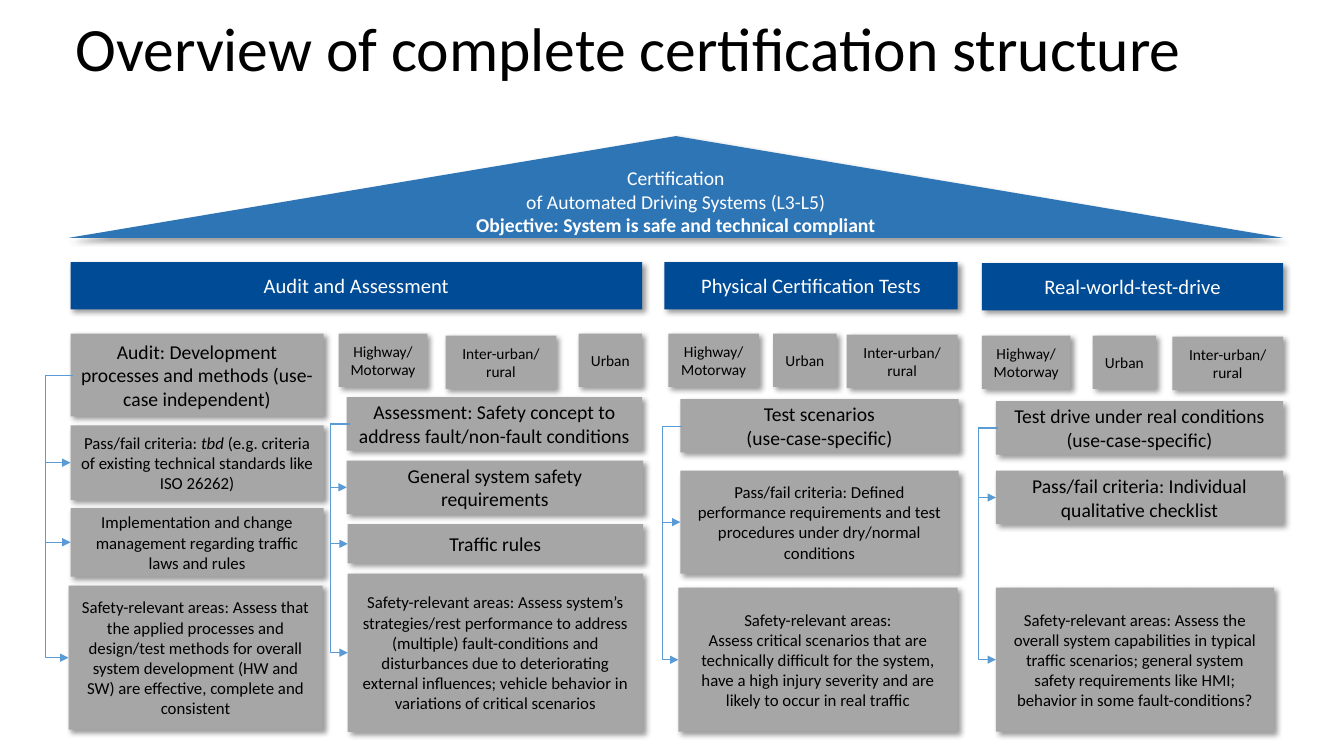
"""Build the slide that gives an overview of the certification structure."""
from dataclasses import dataclass

from pptx import Presentation, util as u
from pptx.dml.color import RGBColor
from pptx.enum import shapes, text
from pptx.oxml import parse_xml
from pptx.oxml.ns import nsdecls, qn

CELL = u.Inches(0.1)
COLUMNS, ROWS = 133.33, 75


@dataclass(frozen=True)
class Theme:
    font: str = "Calibri"
    black: str = "000000"
    white: str = "FFFFFF"
    roof: str = "2E75B6"
    pillar: str = "004B96"
    block: str = "A6A6A6"
    rail: str = "5B9BD5"
    title_size: float = 44
    pillar_size: float = 14.7
    large: float = 14
    medium: float = 12
    small: float = 11
    rail_width: float = 0.5


THEME = Theme()


@dataclass(frozen=True)
class Box:
    left: float
    top: float
    width: float
    height: float
    words: str
    size: float
    fill: str = THEME.block
    ink: str = THEME.black
    preset: shapes.MSO_SHAPE = shapes.MSO_SHAPE.RECTANGLE
    emphasis: str = "italic"
    bottom_inset: float = 0.5

    @property
    def middle(self) -> float:
        return self.top + self.height / 2


@dataclass(frozen=True)
class Item:
    top: float
    height: float
    words: str
    size: float = THEME.medium
    shift: float = 0
    extra: float = 0


@dataclass(frozen=True)
class Stack:
    left: float
    width: float
    rail: float
    items: tuple[Item, ...]


ROOF = Box(6.8, 13.5, 120.5, 10.1,
           "Certification\nof Automated Driving Systems (L3-L5)\n"
           "|Objective: System is safe and technical compliant|",
           THEME.large, THEME.roof, THEME.white,
           shapes.MSO_SHAPE.ISOSCELES_TRIANGLE, "bold", 2.7)

PILLARS = (
    (7, 26, 56.7, "Audit and Assessment"),
    (65.9, 26, 29.1, "Physical Certification Tests"),
    (97.4, 26.1, 29.9, "Real-world-test-drive"),
)

HIGHWAY, URBAN, RURAL = "Highway/\nMotorway", "Urban", "Inter-urban/\nrural"
USE_CASES = (
    (33.6, 33.1, 8.8, HIGHWAY), (44.2, 33.3, 11, RURAL), (57.4, 33.1, 6.3, URBAN),
    (66.3, 33.1, 9, HIGHWAY), (76.7, 33.1, 6.3, URBAN), (84, 33.2, 11, RURAL),
    (97.4, 33.3, 8.8, HIGHWAY), (108.4, 33.3, 6.3, URBAN), (116.3, 33.4, 11, RURAL),
)

STACKS = (
    Stack(7, 25.1, 4.5, (
        Item(33.1, 8.2, "Audit: Development processes and methods "
             "(use-case independent)", THEME.large),
        Item(42.2, 7.4, "Pass/fail criteria: |tbd| (e.g. criteria of existing "
             "technical standards like ISO 26262)"),
        Item(50.4, 6.8, "Implementation and change management regarding "
             "traffic laws and rules"),
        Item(58.1, 14.3, "Safety-relevant areas: Assess that the applied processes "
             "and design/test methods for overall system development (HW and SW) "
             "are effective, complete and consistent", shift=-0.2, extra=0.1),
    )),
    Stack(34.4, 29.3, 32.8, (
        Item(39.4, 5.3, "Assessment: Safety concept to address "
             "fault/non-fault conditions", THEME.large),
        Item(45.7, 5.3, "General system safety requirements", THEME.large, extra=0.1),
        Item(52, 3.9, "Traffic rules", THEME.large, shift=0.1),
        Item(56.9, 15.7, "Safety-relevant areas: Assess system’s strategies/rest "
             "performance to address (multiple) fault-conditions and disturbances "
             "due to deteriorating external influences; vehicle behavior in "
             "variations of critical scenarios", shift=0.1),
    )),
    Stack(67.5, 27.6, 65.7, (
        Item(39.6, 5.3, "Test scenarios\n(use-case-specific)", THEME.large),
        Item(46.7, 10.2, "Pass/fail criteria: Defined performance requirements "
             "and test procedures under dry/normal conditions"),
        Item(58.3, 14.3, "Safety-relevant areas:\nAssess critical scenarios that are "
             "technically difficult for the system, have a high injury severity "
             "and are likely to occur in real traffic", shift=-0.2, extra=0.1),
    )),
    Stack(98.8, 28.5, 97.1, (
        Item(39.8, 5.3, "Test drive under real conditions\n(use-case-specific)",
             THEME.large),
        Item(46.7, 5.3, "Pass/fail criteria: Individual qualitative checklist",
             THEME.large),
        Item(58.3, 14.3, "Safety-relevant areas: Assess the overall system "
             "capabilities in typical traffic scenarios; general system safety "
             "requirements like HMI; behavior in some fault-conditions?", extra=-0.9),
    )),
)


def cells(*counts: float) -> list[int]:
    return [round(count * CELL) for count in counts]


def set_all(target: object, values: dict[str, object]) -> None:
    for name, value in values.items():
        setattr(target, name, value)


def write(para, words: str, size: float, ink: str, emphasis: str) -> None:
    for index, part in enumerate(words.split("|")):
        for number, line in enumerate(part.split("\n")):
            if number:
                para.add_line_break()
            if not line:
                continue
            span = para.add_run()
            span.text = line
            set_all(span.font, {"name": THEME.font, "size": u.Pt(size),
                                emphasis: index % 2 == 1})
            span.font.color.rgb = RGBColor.from_string(ink)


def draw_box(page, box: Box) -> None:
    shape = page.shapes.add_shape(
        box.preset, *cells(box.left, box.top, box.width, box.height))
    shape.fill.solid()
    shape.fill.fore_color.rgb = RGBColor.from_string(box.fill)
    shape.line.fill.background()
    shape.shadow.inherit = False
    shape._element.spPr.find(qn("a:effectLst")).append(parse_xml(
        f'<a:outerShdw {nsdecls("a")} blurRad="{u.Pt(4)}" dist="{u.Pt(3)}" '
        f'dir="2700000" algn="tl" rotWithShape="0"><a:srgbClr val="{THEME.black}">'
        '<a:alpha val="40000"/></a:srgbClr></a:outerShdw>'))
    set_all(shape.text_frame, {
        "word_wrap": True, "vertical_anchor": text.MSO_ANCHOR.MIDDLE,
        "margin_bottom": cells(box.bottom_inset)[0]})
    para = shape.text_frame.paragraphs[0]
    para.alignment = text.PP_ALIGN.CENTER
    write(para, box.words, box.size, box.ink, box.emphasis)


def draw_branch(page, rail: float, source: Box, target: Box) -> None:
    overlap = 0.2
    start = target.left + overlap
    link = page.shapes.add_connector(
        shapes.MSO_CONNECTOR.ELBOW,
        *cells(start, source.middle, target.left, target.middle))
    link.line.width = u.Pt(THEME.rail_width)
    link.line.color.rgb = RGBColor.from_string(THEME.rail)
    link.line._get_or_add_ln().append(
        parse_xml(f'<a:tailEnd {nsdecls("a")} type="triangle"/>'))
    properties = link._element.spPr
    properties.append(parse_xml(f'<a:effectLst {nsdecls("a")}/>'))
    bend = round((start - rail) / overlap * 100000)
    properties.find(qn("a:prstGeom")).get_or_add_avLst().append(
        parse_xml(f'<a:gd {nsdecls("a")} name="adj1" fmla="val {bend}"/>'))


def draw_stack(page, stack: Stack) -> None:
    boxes = [Box(stack.left + item.shift, item.top, stack.width + item.extra,
                 item.height, item.words, item.size) for item in stack.items]
    for box in boxes:
        draw_box(page, box)
    for box in boxes[1:]:
        draw_branch(page, stack.rail, boxes[0], box)


def draw_title(page) -> None:
    frame = page.shapes.add_textbox(*cells(6.5, 0.3, 115, 9.6)).text_frame
    set_all(frame, {"word_wrap": True, "vertical_anchor": text.MSO_ANCHOR.MIDDLE})
    para = frame.paragraphs[0]
    para.line_spacing = 0.9
    write(para, "Overview of complete certification structure",
          THEME.title_size, THEME.black, "bold")


def main() -> None:
    deck = Presentation()
    deck.slide_width, deck.slide_height = cells(COLUMNS, ROWS)
    page = deck.slides.add_slide(deck.slide_layouts[6])
    draw_title(page)
    draw_box(page, ROOF)
    for left, top, width, words in PILLARS:
        draw_box(page, Box(left, top, width, 4.7, words, THEME.pillar_size,
                           THEME.pillar, THEME.white))
    for left, top, width, words in USE_CASES:
        draw_box(page, Box(left, top, width, 5.3, words, THEME.small))
    for stack in STACKS:
        draw_stack(page, stack)
    deck.save("out.pptx")


if __name__ == "__main__":
    main()
